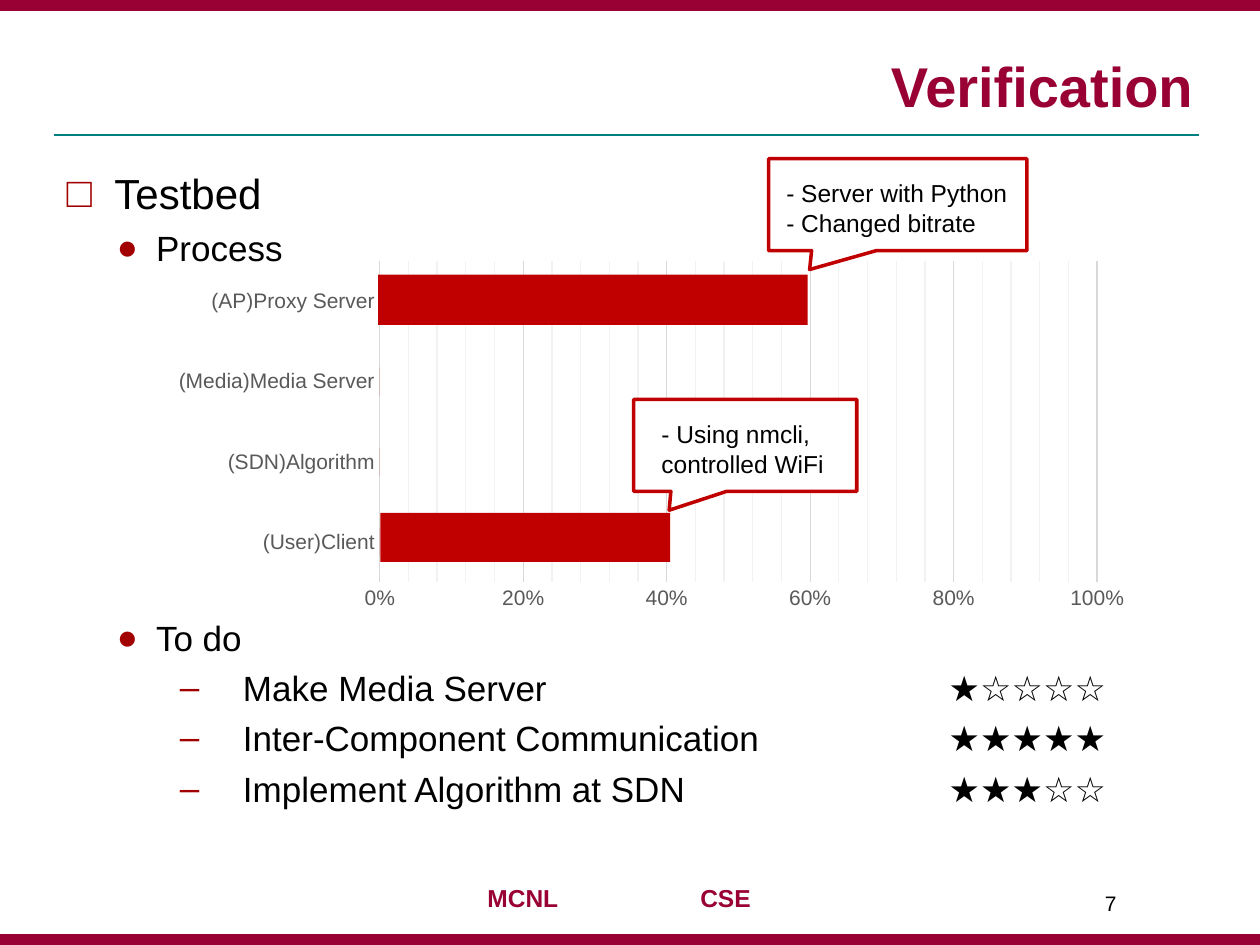
from dataclasses import dataclass

from lxml import etree
from pptx import Presentation
from pptx import util as u
from pptx.chart.data import CategoryChartData
from pptx.dml.color import RGBColor
from pptx.enum import chart as ch, shapes, text
from pptx.oxml import parse_xml
from pptx.oxml.ns import nsdecls, qn


@dataclass(frozen=True)
class Theme:
    face: str = "Arial"
    wine: str = "990033"
    teal: str = "008080"
    red: str = "C00000"
    mark: str = "A20000"
    ink: str = "000000"
    gray: str = "595959"
    grid: str = "D9D9D9"
    faint: str = "F2F2F2"
    white: str = "FFFFFF"
    title: int = 32
    head: int = 24
    body: int = 20
    note: int = 14
    small: int = 12


T = Theme()
COLS, ROWS = 20, 15
CELL = u.Inches(0.5)
LEVELS = [(0.38, -0.38, "□"), (0.71, -0.31, "●"), (1.4, -0.5, "‒")]


def rgb(tone):
    return RGBColor.from_string(tone)


def cells(*spans):
    return [round(n * CELL) for n in spans]


def style(font, size, tone=T.ink, bold=False):
    font.name = T.face
    font.size = u.Pt(size)
    font.bold = bold
    font.color.rgb = rgb(tone)


def stroke(line, tone, width):
    line.color.rgb = rgb(tone)
    line.width = u.Pt(width)


def block(slide, spot, tone, kind=shapes.MSO_SHAPE.RECTANGLE):
    shape = slide.shapes.add_shape(kind, *cells(*spot))
    shape.shadow.inherit = False
    shape.fill.solid()
    shape.fill.fore_color.rgb = rgb(tone)
    shape.line.fill.background()
    return shape


def rule(slide, left, right, top):
    ends = cells(left, top, right, top)
    line = slide.shapes.add_connector(shapes.MSO_CONNECTOR.STRAIGHT, *ends)
    stroke(line.line, T.teal, 1)
    etree.SubElement(line._element.spPr, qn("a:effectLst"))


def label(slide, spot, words, size, tone=T.ink, bold=False):
    frame = slide.shapes.add_textbox(*cells(*spot)).text_frame
    frame.word_wrap = True
    frame.text = words
    style(frame.paragraphs[0].runs[0].font, size, tone, bold)


def bullet(para, level):
    left, hang, mark = LEVELS[level]
    props = para._p.get_or_add_pPr()
    props.set("marL", str(u.Inches(left)))
    props.set("indent", str(u.Inches(hang)))
    tint = etree.SubElement(props, qn("a:buClr"))
    etree.SubElement(tint, qn("a:srgbClr"), val=T.mark)
    etree.SubElement(props, qn("a:buFont"), typeface=T.face)
    etree.SubElement(props, qn("a:buChar"), char=mark)
    if level == 2:
        tabs = etree.SubElement(props, qn("a:tabLst"))
        etree.SubElement(tabs, qn("a:tab"), pos=str(u.Inches(7)), algn="l")


def outline(slide, spot, items):
    frame = slide.shapes.add_textbox(*cells(*spot)).text_frame
    frame.word_wrap = True
    for i, (level, words) in enumerate(items):
        para = frame.add_paragraph() if i else frame.paragraphs[0]
        para.text = words
        para.level = level
        bullet(para, level)
        if i:
            para.space_before = u.Pt(4.8)
        style(para.runs[0].font, T.body if level else T.head)


def callout(slide, spot, inset, lines):
    shape = block(slide, spot, T.white, shapes.MSO_SHAPE.RECTANGULAR_CALLOUT)
    stroke(shape.line, T.red, 2)
    shape.adjustments[0] = -0.341
    shape.adjustments[1] = 0.705
    frame = shape.text_frame
    frame.word_wrap = True
    frame.margin_left = u.Inches(inset)
    frame.margin_right = 0
    frame.margin_top = u.Inches(0.1)
    frame.vertical_anchor = text.MSO_ANCHOR.MIDDLE
    frame.text = "\n".join(lines)
    for para in frame.paragraphs:
        para.alignment = text.PP_ALIGN.LEFT
        style(para.runs[0].font, T.note)


def layout(chart, **spans):
    tags = "".join(f'<c:{k} val="{v}"/>' for k, v in spans.items())
    node = parse_xml(
        f'<c:layout {nsdecls("c")}><c:manualLayout>'
        '<c:layoutTarget val="inner"/><c:xMode val="edge"/>'
        f'<c:yMode val="edge"/>{tags}</c:manualLayout></c:layout>')
    plot = chart._chartSpace.chart.plotArea
    for old in plot.findall(qn("c:layout")):
        plot.remove(old)
    plot.insert(0, node)


def minor(axis):
    axis.has_minor_gridlines = True
    lines = axis._element.find(qn("c:minorGridlines"))
    lines.append(parse_xml(
        f'<c:spPr {nsdecls("c", "a")}><a:ln w="{u.Pt(0.75)}"><a:solidFill>'
        f'<a:srgbClr val="{T.faint}"/></a:solidFill></a:ln></c:spPr>'))


def progress(slide, spot, names):
    data = CategoryChartData(number_format="0%")
    data.categories = names
    data.add_series("Series 1", [0] * len(names))
    kind = ch.XL_CHART_TYPE.BAR_CLUSTERED
    chart = slide.shapes.add_chart(kind, *cells(*spot), data).chart
    chart.has_legend = False
    chart.has_title = False
    style(chart.font, 10)
    layout(chart, x=0.23, y=0.03, w=0.73, h=0.82)
    plot = chart.plots[0]
    plot.gap_width = 182
    plot.vary_by_categories = False
    fill = plot.series[0].format.fill
    fill.solid()
    fill.fore_color.rgb = rgb(T.red)
    cat, val = chart.category_axis, chart.value_axis
    for axis in (cat, val):
        axis.major_tick_mark = ch.XL_TICK_MARK.NONE
        axis.minor_tick_mark = ch.XL_TICK_MARK.NONE
        style(axis.tick_labels.font, T.small, T.gray)
    stroke(cat.format.line, T.grid, 0.75)
    val.format.line.fill.background()
    val.minimum_scale, val.maximum_scale = 0, 1
    val.major_unit, val.minor_unit = 0.2, 0.04
    val.tick_labels.number_format = "0%"
    val.tick_labels.number_format_is_linked = False
    val.has_major_gridlines = True
    stroke(val.major_gridlines.format.line, T.grid, 0.75)
    minor(val)


def heading(slide, spot, words):
    title = slide.shapes.title
    title.left, title.top, title.width, title.height = cells(*spot)
    frame = title.text_frame
    frame.text = words
    frame.vertical_anchor = text.MSO_ANCHOR.BOTTOM
    para = frame.paragraphs[0]
    para.alignment = text.PP_ALIGN.RIGHT
    style(para.runs[0].font, T.title, T.wine, True)


def main():
    deck = Presentation()
    deck.slide_width, deck.slide_height = cells(COLS, ROWS)
    slide = deck.slides.add_slide(deck.slide_layouts[5])
    rule(slide, 0.86, 19.04, 2.14)
    for top in (0, ROWS - 0.16):
        band = block(slide, (0, top, COLS, 0.16), T.wine)
        stroke(band.line, T.wine, 0.75)
    for left, words in ((7.54, "MCNL"), (10.92, "CSE")):
        label(slide, (left, 13.92, 2, 0.68), words, T.note, T.wine, True)
    label(slide, (17.34, 14.04, 1.66, 0.8), "7", T.small)
    heading(slide, (1, 0.5, 18.14, 1.48), "Verification")
    outline(slide, (0.86, 2.56, 17.96, 1.8), [(0, "Testbed"), (1, "Process")])
    outline(slide, (0.86, 9.68, 17.96, 3.4), [
        (1, "To do"),
        (2, "Make Media Server\t★☆☆☆☆"),
        (2, "Inter-Component Communication\t★★★★★"),
        (2, "Implement Algorithm at SDN\t★★★☆☆")])
    progress(slide, (2.44, 3.96, 15.6, 6.22), [
        "(User)Client", "(SDN)Algorithm",
        "(Media)Media Server", "(AP)Proxy Server"])
    block(slide, (6, 4.36, 6.82, 0.8), T.red)
    block(slide, (6.04, 8.14, 4.6, 0.78), T.red)
    callout(slide, (10.06, 6.34, 3.54, 1.46), 0.22,
            ["- Using nmcli,", "controlled WiFi"])
    callout(slide, (12.2, 2.52, 4.1, 1.46), 0.14,
            ["- Server with Python", "- Changed bitrate"])
    deck.save("out.pptx")


if __name__ == "__main__":
    main()
